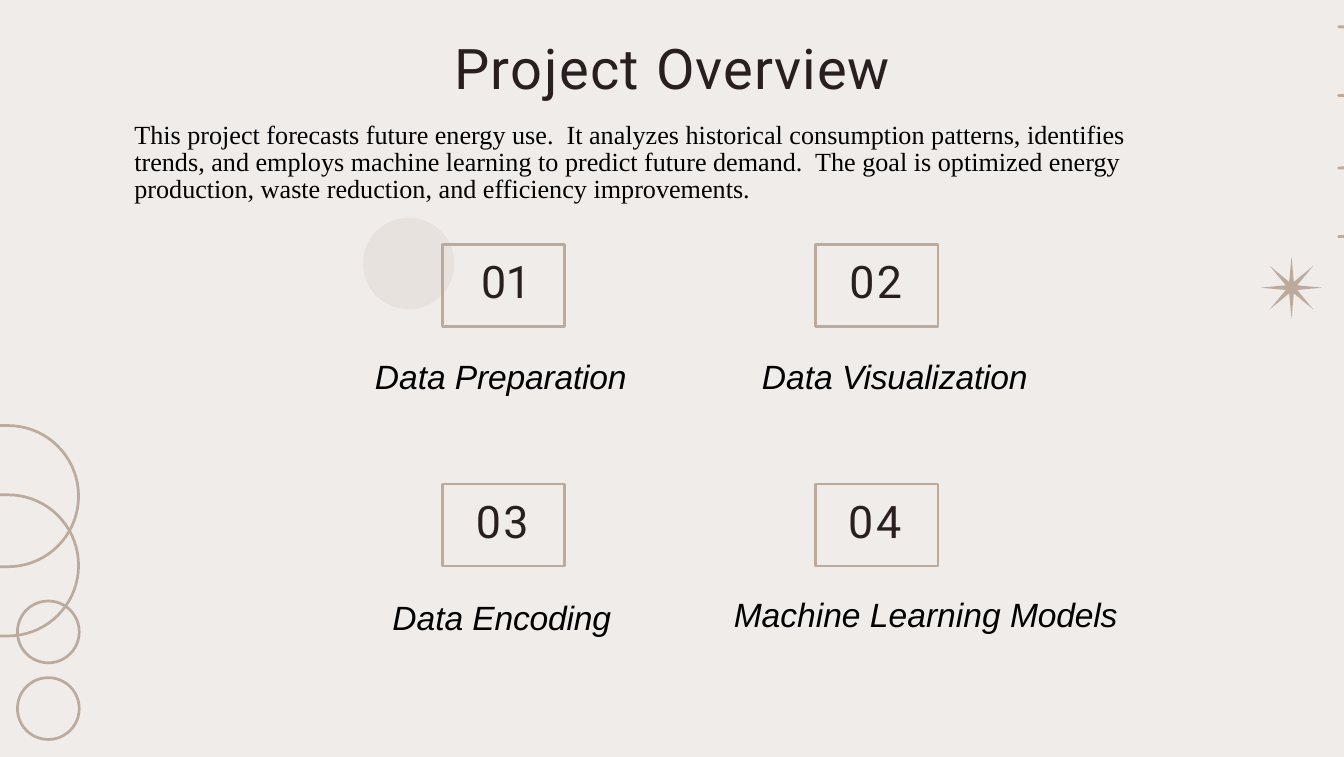
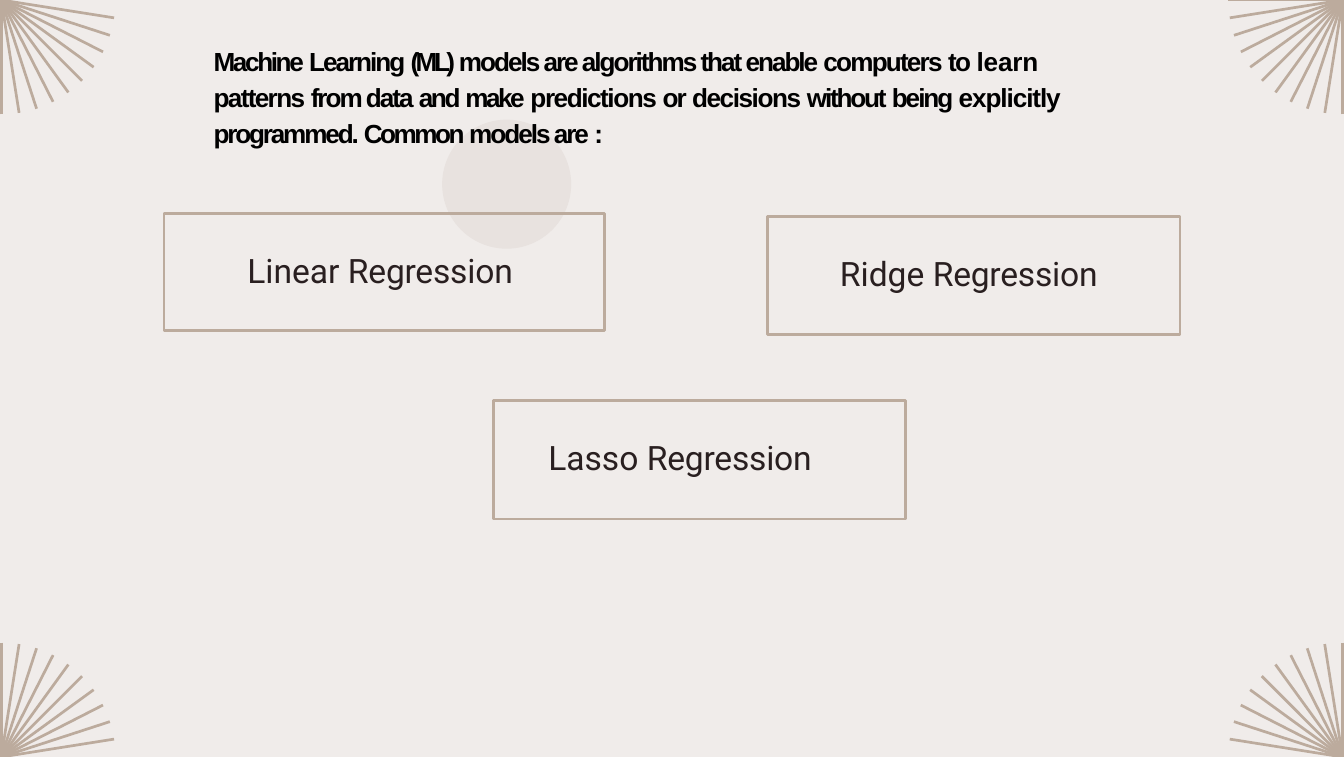
from math import cos, radians, sin

from pptx import Presentation
from pptx.dml.color import RGBColor
from pptx.enum.shapes import MSO_SHAPE as SHAPE
from pptx.enum.text import MSO_ANCHOR as ANCHOR, MSO_AUTO_SIZE as AUTO_SIZE, PP_ALIGN as ALIGN
from pptx.util import Pt

PX = 9144
WIDTH, HEIGHT = 1000, 563
TITLE_ONLY = 5

PAPER = RGBColor(0xF0, 0xEC, 0xEA)
TAN = RGBColor(0xBC, 0xAB, 0x9D)
HAZE = RGBColor(0xE8, 0xE2, 0xDF)
INK = RGBColor(0x29, 0x1F, 0x20)
BLACK = RGBColor(0, 0, 0)
LINE_WIDTH = Pt(1.44)

STEPS = [
    ("01", -0.2, 29, [("Data", 0), (" Preparation", -0.1)], (278, 264, 193, 33)),
    ("02", 1.3, 25, [("Data", 0), (" Visualization", -0.1)], (566, 264, 203, 33)),
    ("03", 1.4, 25, [("Data", 0), (" Encoding", -0.1)], (291, 443, 167, 33)),
    ("04", 1.6, 24, [("Machine Learning ", 0), ("Models", -0.1)], (545, 441, 289, 33)),
]
OVERVIEW = (
    "This project forecasts future energy use.  It analyzes historical consumption "
    "patterns, identifies trends, and employs machine learning to predict future demand. "
    " The goal is optimized energy production, waste reduction, and efficiency improvements."
)
MODELS_INTRO = [
    ("Machine", -1.3), (" Learning ", -1.1), ("(ML) ", -1.9),
    ("models are algorithms that enable ", -1.1), ("computers ", -1), ("to ", -0.9),
    ("learn ", -0.1), ("patterns ", -0.9), ("from data ", -1.1), ("and ", -1.3),
    ("make", -1.4), (" predictions ", -0.8), ("or ", -1.1), ("decisions ", -0.8),
    ("without ", -1.2), ("being ", -1.1), ("explicitly ", -0.6), ("programmed. ", -1.2),
    ("Common ", -1.4), ("models are ", -1.1), (":", -0.5),
]


def to_emu(*lengths):
    """Turn px lengths into EMU."""
    return [round(length * PX) for length in lengths]


def write_text(shape, runs, font="Roboto", size=18, color=INK, bold=False, italic=False,
               left=1, top=1, before=1, line_spacing=None):
    """Fill a shape with one paragraph of (text, letter spacing) runs."""
    frame = shape.text_frame
    frame.word_wrap = True
    frame.auto_size = AUTO_SIZE.NONE
    frame.vertical_anchor = ANCHOR.TOP
    frame.margin_left, frame.margin_top = to_emu(left, top)
    frame.margin_right = frame.margin_bottom = 0
    paragraph = frame.paragraphs[0]
    paragraph.alignment = ALIGN.LEFT
    paragraph.space_before = Pt(before)
    paragraph.line_spacing = line_spacing
    for text, spacing in runs:
        run = paragraph.add_run()
        run.text = text
        run.font.name, run.font.size = font, Pt(size)
        run.font.bold, run.font.italic = bold, italic
        run.font.color.rgb = color
        run._r.get_or_add_rPr().set("spc", str(round(spacing * 100)))


def add_text(slide, box, runs, **text_format):
    """Add a text box."""
    write_text(slide.shapes.add_textbox(*to_emu(*box)), runs, **text_format)


def outline(shape):
    """Give a shape the thin tan outline and no fill."""
    shape.fill.background()
    shape.line.color.rgb = TAN
    shape.line.width = LINE_WIDTH


def add_figure(slide, kind, box, fill=None):
    """Add a preset shape, filled or else outlined."""
    shape = slide.shapes.add_shape(kind, *to_emu(*box))
    shape.shadow.inherit = False
    if fill is None:
        outline(shape)
    else:
        shape.fill.solid()
        shape.fill.fore_color.rgb = fill
        shape.line.fill.background()
    return shape


def place_title(slide, box, runs, **text_format):
    """Position the title placeholder in front of the shapes so far."""
    title = slide.shapes.title
    title.left, title.top, title.width, title.height = to_emu(*box)
    title._element.getparent().append(title._element)
    write_text(title, runs, **text_format)
    return title


def add_strokes(slide, strokes):
    """Draw several open lines as one freeform."""
    strokes = [[to_emu(*point) for point in stroke] for stroke in strokes]
    builder = slide.shapes.build_freeform(*strokes[0][0])
    for index, stroke in enumerate(strokes):
        if index:
            builder.move_to(*stroke[0])
        builder.add_line_segments(stroke[1:], close=False)
    shape = builder.convert_to_shape()
    shape.shadow.inherit = False
    outline(shape)


def add_edge_arcs(slide, edge, center_x, center_ys, radius=52.5):
    """Draw half circles that run into the slide's edge."""
    side = 1 if center_x > edge else -1
    side = -side if edge else 1
    arcs = []
    for center_y in center_ys:
        arc = [(center_x + side * radius * cos(radians(angle)),
                center_y + radius * sin(radians(angle))) for angle in range(-90, 91, 5)]
        arcs.append([(edge, arc[0][1]), *arc, (edge, arc[-1][1])])
    add_strokes(slide, arcs)


def add_corner_rays(slide, x, y, count=10, radius=85):
    """Fan rays out of a corner towards the slide's middle."""
    across = 1 if x < WIDTH / 2 else -1
    down = 1 if y < HEIGHT / 2 else -1
    angles = [radians(9 * index) for index in range(count)]
    add_strokes(slide, [[(x + across * radius * sin(angle), y + down * radius * cos(angle)),
                         (x, y)] for angle in angles])


def build_overview(slide):
    """Build the project overview with its four numbered steps."""
    add_edge_arcs(slide, WIDTH, 996, (72.5, 123.5))
    add_edge_arcs(slide, 0, 6, (369, 420.5))
    star = add_figure(slide, SHAPE.STAR_8_POINT, (938, 191, 46, 46), TAN)
    star.adjustments[0] = 0.1
    for y in (447, 504):
        add_figure(slide, SHAPE.OVAL, (13, y, 46, 46))
    add_figure(slide, SHAPE.OVAL, (270, 162, 68, 68), HAZE)
    place_title(slide, (337, 24, 333, 53), [("Project ", 0.8), ("Overview", 0.5)],
                size=30)
    for index, (number, spacing, indent, label, label_box) in enumerate(STEPS):
        row, column = divmod(index, 2)
        box = add_figure(slide, SHAPE.RECTANGLE, (329 + 278 * column, 182 + 178 * row, 91, 61))
        write_text(box, [(number, spacing)], size=24, left=indent, top=7, before=5.5)
        add_text(slide, label_box, label, font="Arial", color=BLACK, italic=True)
    add_text(slide, (100, 90, 784, 101), [(OVERVIEW, 0)], font="Times New Roman", size=14,
             color=BLACK, left=0, top=2, before=0, line_spacing=Pt(14.2))


def build_models(slide):
    """Build the list of regression models."""
    add_corner_rays(slide, 1, HEIGHT)
    add_corner_rays(slide, 999, 0, count=11)
    add_corner_rays(slide, 999, HEIGHT)
    add_corner_rays(slide, 1, 0)
    add_figure(slide, SHAPE.OVAL, (329, 89, 96, 96), HAZE)
    model_format = {"top": 27, "before": 19.4}
    title = place_title(slide, (122, 159, 328, 87), [("Linear ", 0), ("Regression", -0.1)],
                        left=62, **model_format)
    outline(title)
    for name, x, y, indent in (("Lasso ", 367, 298, 41), ("Ridge ", 571, 161, 54)):
        box = add_figure(slide, SHAPE.RECTANGLE, (x, y, 307, 88))
        write_text(box, [(name, 0), ("Regression", -0.1)], left=indent, **model_format)
    add_text(slide, (158, 28, 677, 81), MODELS_INTRO, font="Arial", size=14, color=BLACK,
             bold=True, top=2, before=1.1, line_spacing=1.15)


def main():
    """Build both slides and save them."""
    presentation = Presentation()
    presentation.slide_width, presentation.slide_height = to_emu(WIDTH, HEIGHT)
    background = presentation.slide_master.background.fill
    background.solid()
    background.fore_color.rgb = PAPER
    for build in (build_overview, build_models):
        slide = presentation.slides.add_slide(presentation.slide_layouts[TITLE_ONLY])
        build(slide)
    presentation.save("out.pptx")


if __name__ == "__main__":
    main()
